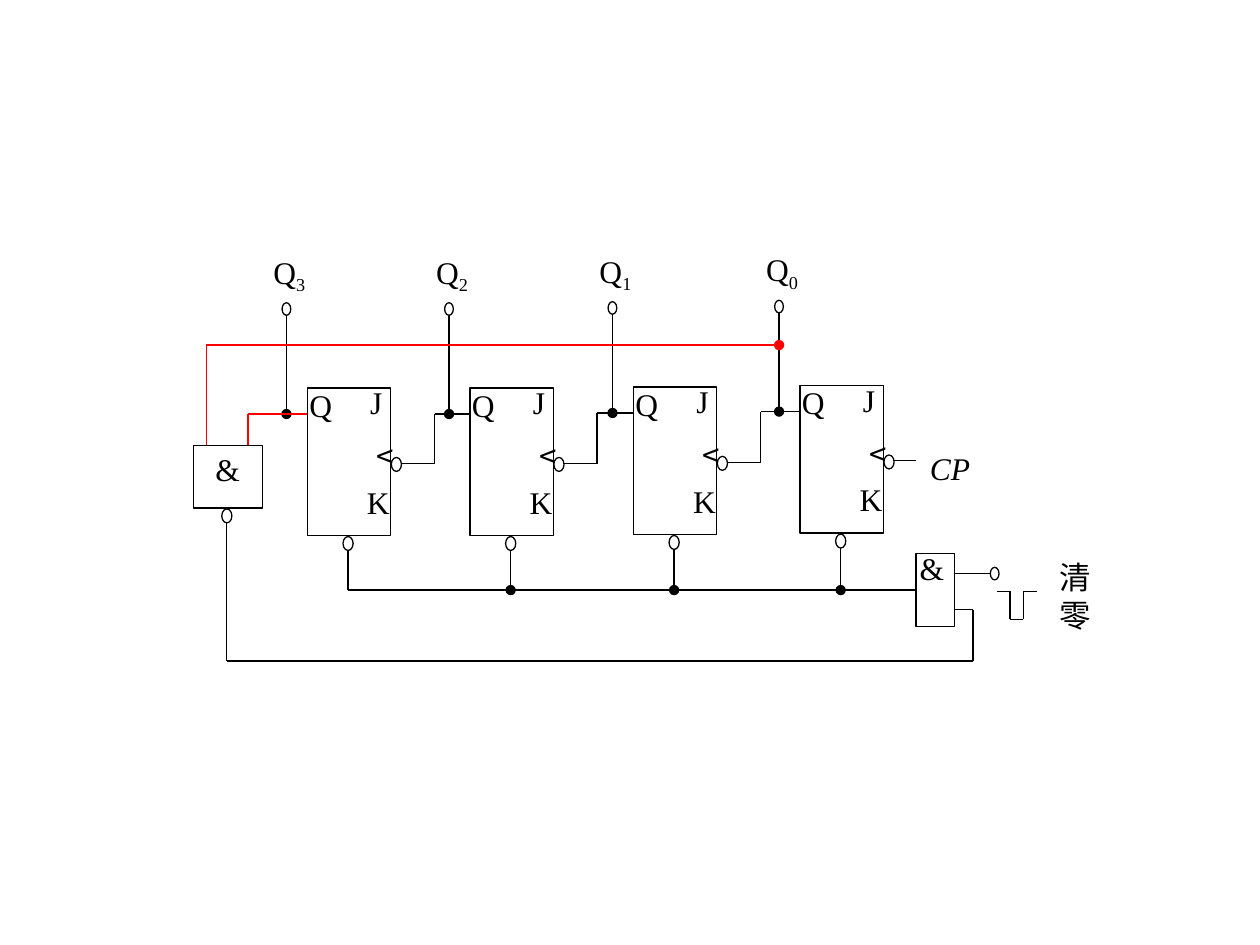
from pptx import Presentation
from pptx.dml.color import RGBColor
from pptx.enum.shapes import MSO_CONNECTOR, MSO_SHAPE
from pptx.enum.text import PP_ALIGN
from pptx.oxml.ns import qn
from pptx.util import Pt

STRAIGHT = MSO_CONNECTOR.STRAIGHT
RECT, OVAL = MSO_SHAPE.RECTANGLE, MSO_SHAPE.OVAL
JUSTIFY = PP_ALIGN.JUSTIFY

BLACK = RGBColor(0x00, 0x00, 0x00)
WHITE = RGBColor(0xFF, 0xFF, 0xFF)
RED = RGBColor(0xFF, 0x00, 0x00)
SERIF, SANS = "Times New Roman", "Noto Sans CJK SC"

# Flip-flops from the highest bit to the lowest: index, left, top
FLIP_FLOPS = [(3, 175.7, 221.8), (2, 268.6, 221.8), (1, 362, 221.2), (0, 457.2, 220.4)]
FF_WIDTH, FF_HEIGHT = 47.6, 84.2
OUTPUT_DX = -12    # output line, left of the flip-flop
Q_DY = 14.8        # Q pin below the top
CLOCK_DY = 43.2    # clock pin below the top
CLOCK_END_DX = 72.6
RESET_DX = 23.2
RESET_BUS_Y = 337.2
BUBBLE = (5.8, 8)
TERMINAL = (5, 7.2)


def add_text(slide, text, left, top, width, height, font=SERIF, italic=False, subscript=""):
    frame = slide.shapes.add_textbox(Pt(left), Pt(top), Pt(width), Pt(height)).text_frame
    frame.word_wrap = True
    paragraph = frame.paragraphs[0]
    paragraph.alignment = JUSTIFY
    for part in filter(None, (text, subscript)):
        run = paragraph.add_run()
        run.text = part
        run.font.size = Pt(18)
        run.font.name = font
        run.font.italic = italic
        run.font.color.rgb = BLACK
    if subscript:
        run.font._element.set("baseline", "-25000")


def add_outline(slide, kind, left, top, width, height):
    shape = slide.shapes.add_shape(kind, Pt(left), Pt(top), Pt(width), Pt(height))
    shape.shadow.inherit = False
    shape.fill.solid()
    shape.fill.fore_color.rgb = WHITE
    shape.line.color.rgb = BLACK
    shape.line.width = Pt(0.75)
    return shape


def add_circle(slide, center_x, center_y, size):
    width, height = size
    add_outline(slide, OVAL, center_x - width / 2, center_y - height / 2, width, height)


def add_wire(slide, *points, color=BLACK, dot=False):
    """Draw straight segments through the points; dot marks a junction at the end."""
    for start, end in zip(points, points[1:]):
        segment = slide.shapes.add_connector(STRAIGHT, *map(Pt, start + end))
        segment.line.color.rgb = color
        segment.line.width = Pt(0.75)
        properties = segment._element.spPr
        properties.append(properties.makeelement(qn("a:effectLst"), {}))
    if dot:
        line = properties.find(qn("a:ln"))
        line.append(line.makeelement(qn("a:tailEnd"), {"type": "oval"}))
    return segment


def add_flip_flop(slide, index, left, top):
    add_outline(slide, RECT, left, top, FF_WIDTH, FF_HEIGHT)

    # Output line with its terminal and label
    output_x = left + OUTPUT_DX
    add_wire(slide, (output_x, top - 43), (output_x, top + Q_DY), dot=True)
    add_circle(slide, output_x, top - 45.2, TERMINAL)
    add_text(slide, "Q", left - 26.5, top - 81, 34.8, 40, subscript=str(index))

    # Pin names
    add_text(slide, "Q", left - 6, top - 5, 31, 40)
    add_text(slide, "J", left + 28.8, top - 6.2, 24.5, 36)
    add_text(slide, "K", left + 26.9, top + 50.6, 29.5, 37.4)
    add_text(slide, "<", left + 32.6, top + 24.6, 27.4, 37.4, font=SANS)

    # Clock and reset bubbles, reset line
    add_circle(slide, left + 50.8, top + 43.6, BUBBLE)
    add_circle(slide, left + RESET_DX, top + 88.8, BUBBLE)
    reset_x = left + RESET_DX
    add_wire(slide, (reset_x, top + 92.8), (reset_x, RESET_BUS_Y), dot=index != 3)


def add_clock_links(slide):
    """Join each Q pin to the clock of the next higher bit."""
    for (_, higher_left, higher_top), (_, left, top) in zip(FLIP_FLOPS, FLIP_FLOPS[1:]):
        corner_x = higher_left + CLOCK_END_DX
        clock_y = higher_top + CLOCK_DY
        add_wire(slide, (left, top + Q_DY), (corner_x, top + Q_DY),
                 (corner_x, clock_y), (higher_left + 53.7, clock_y))
    _, left, top = FLIP_FLOPS[-1]
    add_wire(slide, (left + 53.2, top + 42.6), (523.4, top + 42.6))
    add_text(slide, "CP", 524.2, 252.8, 40.4, 37.4, italic=True)


def add_feedback_gate(slide):
    """NAND gate fed by Q3 and Q0."""
    add_outline(slide, RECT, 110.4, 254.4, 39.6, 36)
    add_circle(slide, 129.6, 294.8, BUBBLE)
    add_text(slide, "&", 116, 253.6, 32.4, 42.4)
    _, q3_left, q3_top = FLIP_FLOPS[0]
    _, q0_left, _ = FLIP_FLOPS[-1]
    add_wire(slide, (118, 254.4), (118, 197.2), (q0_left + OUTPUT_DX, 197.2),
             color=RED, dot=True)
    add_wire(slide, (q3_left, q3_top + Q_DY), (141.8, q3_top + Q_DY), (141.8, 254.4), color=RED)


def add_reset_gate(slide):
    """AND gate that drives the common reset line."""
    gate = add_outline(slide, RECT, 523.4, 316.2, 22.2, 42)
    add_text(slide, "&", 518.4, 310.4, 40.4, 37.4)
    bus = add_wire(slide, (FLIP_FLOPS[0][1] + RESET_DX, RESET_BUS_Y), (523.4, RESET_BUS_Y))
    bus.end_connect(gate, 1)
    # Feedback input
    add_wire(slide, (129.6, 298.8), (129.6, 377.8), (556, 377.8), (556, 348.4), (545.6, 348.4))
    # External clear input with its low pulse
    add_wire(slide, (545.6, 327.6), (565.8, 327.6))
    add_circle(slide, 568.4, 327.8, TERMINAL)
    add_wire(slide, (569.6, 338), (577.2, 338), (577.2, 354), (584.8, 354),
             (584.8, 338), (592.4, 338))
    add_text(slide, "清零", 598.4, 315.4, 49.6, 41)


def main():
    deck = Presentation()
    deck.slide_width, deck.slide_height = Pt(720), Pt(540)
    slide = deck.slides.add_slide(deck.slide_layouts[6])
    for flip_flop in FLIP_FLOPS:
        add_flip_flop(slide, *flip_flop)
    add_clock_links(slide)
    add_feedback_gate(slide)
    add_reset_gate(slide)
    deck.save("out.pptx")


if __name__ == "__main__":
    main()
